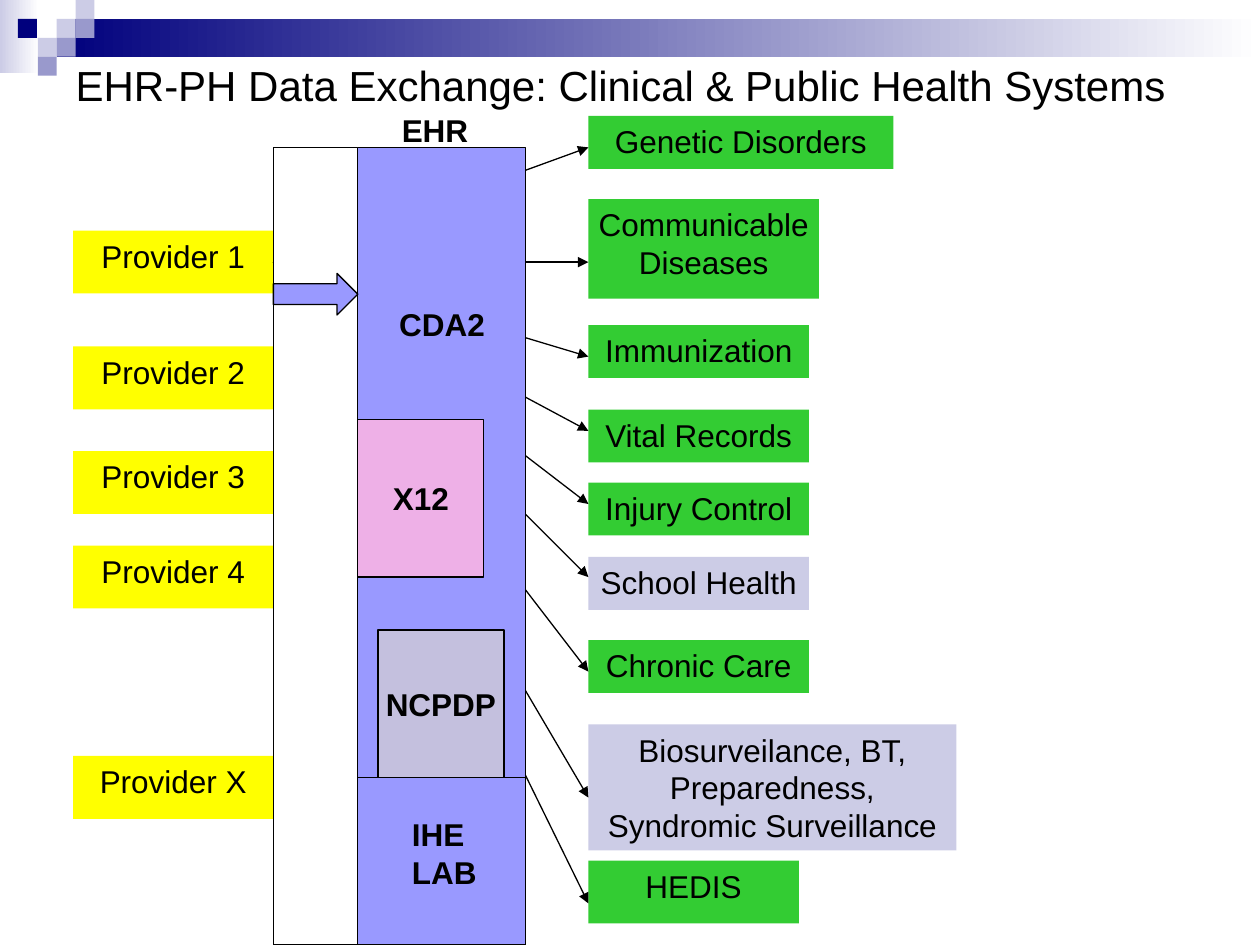
from lxml.etree import SubElement
from pptx import Presentation
from pptx.dml.color import RGBColor
from pptx.enum.shapes import MSO_CONNECTOR, MSO_SHAPE
from pptx.enum.text import MSO_ANCHOR, MSO_AUTO_SIZE, PP_ALIGN
from pptx.oxml.ns import qn
from pptx.util import Inches, Pt

BLACK = RGBColor(0x00, 0x00, 0x00)
WHITE = RGBColor(0xFF, 0xFF, 0xFF)
NAVY = RGBColor(0x00, 0x00, 0x7D)
LAVENDER = RGBColor(0xCC, 0xCC, 0xE6)
MUTED_BLUE = RGBColor(0x99, 0x99, 0xCC)
YELLOW = RGBColor(0xFF, 0xFF, 0x00)
GREEN = RGBColor(0x33, 0xCC, 0x33)
PERIWINKLE = RGBColor(0x99, 0x99, 0xFF)
PINK = RGBColor(0xEE, 0xB0, 0xE7)
GREY_VIOLET = RGBColor(0xC4, 0xC0, 0xDE)

# Provider name, top
PROVIDERS = [("Provider 1", 1.83), ("Provider 2", 2.75), ("Provider 3", 3.58),
             ("Provider 4", 4.33), ("Provider X", 6)]

# Program name, top, width, height, colour, height at which its arrow ends
PROGRAMS = [
    ("Genetic Disorders", 0.92, 2.42, 0.42, GREEN, 1.17),
    ("Communicable Diseases", 1.58, 1.83, 0.79, GREEN, 2.08),
    ("Immunization", 2.58, 1.75, 0.42, GREEN, 2.83),
    ("Vital Records", 3.25, 1.75, 0.42, GREEN, 3.42),
    ("Injury Control", 3.83, 1.75, 0.42, GREEN, 4),
    ("School Health", 4.42, 1.75, 0.42, LAVENDER, 4.58),
    ("Chronic Care", 5.08, 1.75, 0.42, GREEN, 5.33),
    ("Biosurveilance, BT, Preparedness, Syndromic Surveillance",
     5.75, 2.92, 1, LAVENDER, 6.33),
    ("HEDIS", 6.83, 1.67, 0.5, GREEN, 7.17),
]


def add_box(slide, left, top, width, height, color=None, outlined=False,
            kind=MSO_SHAPE.RECTANGLE):
    shape = slide.shapes.add_shape(kind, Inches(left), Inches(top),
                                   Inches(width), Inches(height))
    shape.shadow.inherit = False
    if color is not None:
        shape.fill.solid()
        shape.fill.fore_color.rgb = color
    if outlined:
        shape.line.color.rgb = BLACK
        shape.line.width = Pt(0.75)
    else:
        shape.line.fill.background()
    return shape


def write(shape, text, align=PP_ALIGN.CENTER, anchor=MSO_ANCHOR.TOP,
          bold=False, wrap=True, inset=0.05, size=18):
    frame = shape.text_frame
    frame.text = text
    frame.word_wrap = wrap
    frame.vertical_anchor = anchor
    frame.margin_left = frame.margin_right = Inches(inset)
    frame.margin_top = frame.margin_bottom = Inches(0.05)
    for paragraph in frame.paragraphs:
        paragraph.alignment = align
        paragraph.font.name = "Arial"
        paragraph.font.size = Pt(size)
        paragraph.font.bold = bold
        paragraph.font.color.rgb = BLACK


def add_line(slide, start, end, arrow=False):
    line = slide.shapes.add_connector(
        MSO_CONNECTOR.STRAIGHT, *(Inches(value) for value in (*start, *end)))
    line.line.color.rgb = BLACK
    line.line.width = Pt(0.75)
    if arrow:
        outline = line.line._get_or_add_ln()
        SubElement(outline, qn("a:tailEnd"), type="triangle")
    SubElement(line.element.spPr, qn("a:effectLst"))
    return line


def add_banner(slide, left, top, width, height):
    # Gradient bands, fading to white towards the right
    strip = add_box(slide, left, top, 0.31, 0.58)
    bar = add_box(slide, left + 0.45, top + 0.15, width - 0.45, height)
    for band, color in ((strip, LAVENDER), (bar, NAVY)):
        band.fill.gradient()
        band.fill.gradient_angle = 180
        stops = band.fill.gradient_stops
        for stop, position, stop_color in zip(stops, (0, 1), (WHITE, color)):
            stop.position = position
            stop.color.rgb = stop_color

    # Mosaic squares, by column and row
    cell = 0.15
    for column, row, color in (
            (3, 1, LAVENDER), (4, 0, LAVENDER), (4, 1, MUTED_BLUE),
            (2, 2, LAVENDER), (0.95, 1, NAVY), (3, 2, MUTED_BLUE),
            (2, 3, MUTED_BLUE)):
        add_box(slide, left + column * cell, top + row * cell, cell, cell, color)


def add_providers(slide, left, width, height):
    boxes = []
    for name, top in PROVIDERS:
        box = add_box(slide, left, top, width, height, YELLOW)
        write(box, name)
        boxes.append(box)
    return boxes


def add_programs(slide, left, hub, hub_point):
    for name, top, width, height, color, _ in PROGRAMS:
        write(add_box(slide, left, top, width, height, color), name)
    # Arrows fan out from the hub's right side, behind the record column
    for *_, arrow_end in PROGRAMS:
        arrow = add_line(slide, hub_point, (left, arrow_end), arrow=True)
        arrow.begin_connect(hub, 3)


def add_record(slide, left, top, width, height):
    # Standards column, with the lab section ruled off at its foot
    gate_width = 0.67
    column_left = left + gate_width
    right = left + width
    lab_top = top + 5
    add_box(slide, column_left, top, width - gate_width, height, PERIWINKLE, True)
    add_line(slide, (column_left, lab_top), (right, lab_top))

    # Column labels, sized to their text
    for text, x, y, label_width, label_height in (
            ("EHR", 3.09, 0.83, 0.79, 0.4),
            ("CDA2", 3.07, 2.37, 0.88, 0.4),
            ("IHE\nLAB", 3.17, 6.42, 0.75, 0.7)):
        label = slide.shapes.add_textbox(Inches(x), Inches(y),
                                         Inches(label_width), Inches(label_height))
        write(label, text, PP_ALIGN.LEFT, bold=True, wrap=False, inset=0.1)
        label.text_frame.auto_size = MSO_AUTO_SIZE.SHAPE_TO_FIT_TEXT

    # Message standards
    for text, x, y, box_height, color in (
            ("X12", column_left, 3.33, 1.25, PINK),
            ("NCPDP", 3, 5, 1.17, GREY_VIOLET)):
        box = add_box(slide, x, y, 1, box_height, color, True)
        write(box, text, anchor=MSO_ANCHOR.MIDDLE, bold=True, wrap=False, inset=0.1)

    # Entry gate and its arrow
    add_box(slide, left, top, gate_width, height, WHITE, True)
    add_box(slide, left, top + 1, gate_width, 0.33, PERIWINKLE, True,
            MSO_SHAPE.RIGHT_ARROW)


def place_title(slide, left, top, width, height):
    title = slide.shapes.title
    title.left, title.top = Inches(left), Inches(top)
    title.width, title.height = Inches(width), Inches(height)
    write(title, "EHR-PH Data Exchange: Clinical & Public Health Systems",
          PP_ALIGN.LEFT, MSO_ANCHOR.MIDDLE, inset=0.1, size=24)
    title.text_frame.auto_size = MSO_AUTO_SIZE.NONE
    # Bring the title in front of the banner
    title.element.getparent().append(title.element)


def main():
    presentation = Presentation()
    presentation.slide_width = Inches(10)
    presentation.slide_height = Inches(7.5)
    slide = presentation.slides.add_slide(presentation.slide_layouts[5])

    # The providers' right edge meets the record's left edge
    record_left = 2.17
    provider_left = 0.58
    add_banner(slide, 0, 0, 10, 0.3)
    providers = add_providers(slide, provider_left, record_left - provider_left, 0.5)
    add_programs(slide, 4.67, providers[0], (record_left, 2.08))
    add_record(slide, record_left, 1.17, 2, 6.33)
    place_title(slide, 0.5, 0.42, 9.25, 0.5)

    presentation.save("out.pptx")


if __name__ == "__main__":
    main()
